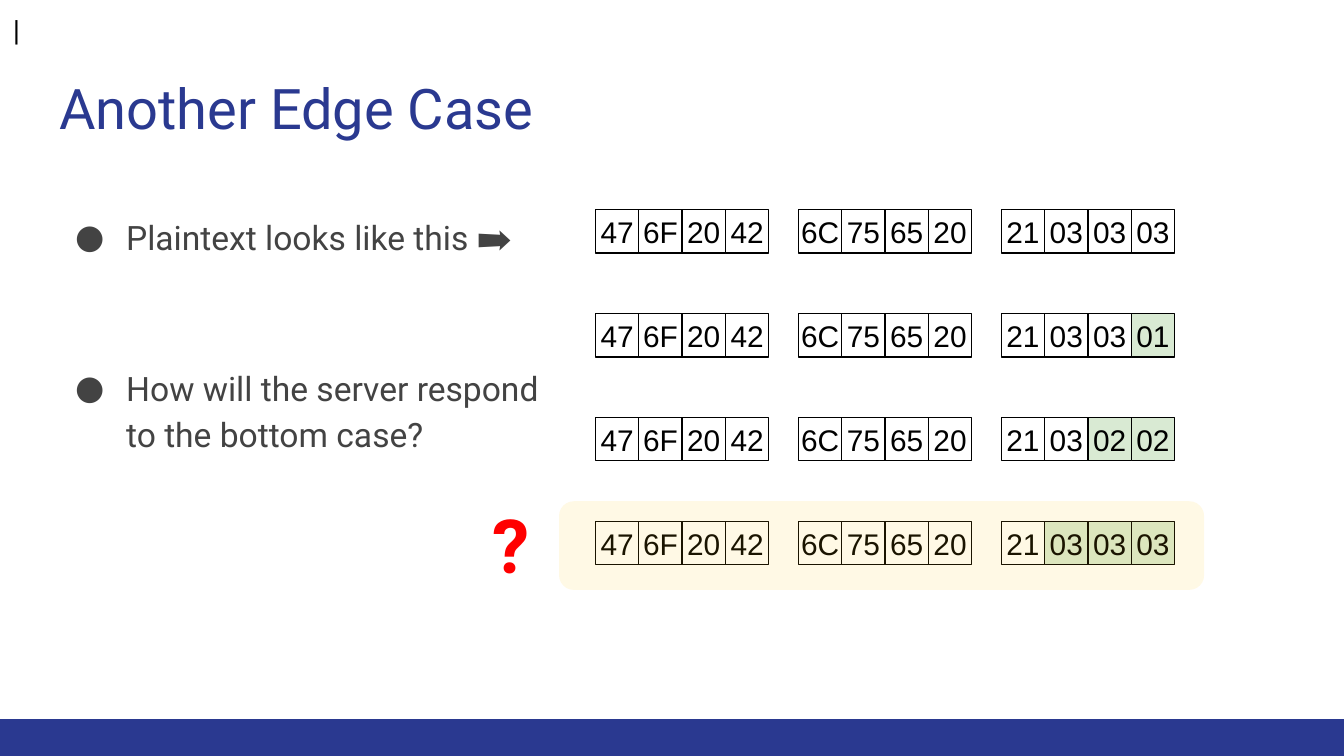
from dataclasses import dataclass

from lxml.etree import SubElement
from pptx import Presentation
from pptx.dml.color import RGBColor as Color
from pptx.enum.shapes import MSO_SHAPE as Shape
from pptx.enum.text import MSO_ANCHOR as Anchor, PP_ALIGN as Align
from pptx.oxml.ns import qn
from pptx.util import Inches, Pt


@dataclass(frozen=True)
class Theme:
    heading_font: str = "Roboto"
    byte_font: str = "Arial"
    blue: str = "2A3990"
    gray: str = "434343"
    black: str = "000000"
    red: str = "FF0000"
    green: str = "D9EAD3"
    amber: str = "FFC500"
    title_size: int = 30
    body_size: int = 18
    byte_size: int = 16
    mark_size: int = 40
    cursor_size: int = 14


THEME = Theme()
WIDTH = 10
HEIGHT = WIDTH * 9 / 16

# Byte grid: four messages, three blocks each, four bytes per block
GRID_LEFT, GRID_TOP, GRID_BOTTOM = 4.43, 1.56, 3.88
CELL = 1.29 / 4
BLOCK_PITCH = 1.51
FIRST_BLOCKS = ["47 6F 20 42", "6C 75 65 20"]
# Last block of each message, with the number of padding bytes to mark
LAST_BLOCKS = [("21 03 03 03", 0), ("21 03 03 01", 1),
               ("21 03 02 02", 2), ("21 03 03 03", 3)]
ROW_PITCH = (GRID_BOTTOM - GRID_TOP) / (len(LAST_BLOCKS) - 1)


def inches(*lengths):
    return [Inches(length) for length in lengths]


def write(shape, text, size, font=THEME.heading_font, color=THEME.black, bold=False,
          align=Align.LEFT, anchor=Anchor.TOP, inset=0.1, line_spacing=None, gap=0, bullet=None):
    """Write one paragraph per line of text, with the given gap between them."""
    frame = shape.text_frame
    frame.word_wrap = True
    frame.vertical_anchor = anchor
    frame.margin_left = frame.margin_top = frame.margin_right = frame.margin_bottom = Inches(inset)
    frame.text = text
    for index, paragraph in enumerate(frame.paragraphs):
        paragraph.alignment = align
        paragraph.line_spacing = line_spacing
        paragraph.space_before = Pt(gap if index else 0)
        for run in paragraph.runs:
            run.font.name, run.font.size, run.font.bold = font, Pt(size), bold
            run.font.color.rgb = Color.from_string(color)
        if bullet:
            add_bullet(paragraph, bullet, font, color)


def add_bullet(paragraph, character, font, color):
    properties = paragraph._p.get_or_add_pPr()
    properties.set("marL", str(Inches(0.5)))
    properties.set("indent", str(Inches(-0.38)))
    bullet_color = SubElement(properties, qn("a:buClr"))
    SubElement(bullet_color, qn("a:srgbClr"), val=color)
    SubElement(properties, qn("a:buFont"), typeface=font)
    SubElement(properties, qn("a:buChar"), char=character)


def add_box(shapes, kind, position, fill=None, line=None, opacity=None):
    box = shapes.add_shape(kind, *inches(*position))
    box.shadow.inherit = False
    if fill:
        box.fill.solid()
        box.fill.fore_color.rgb = Color.from_string(fill)
        if opacity:
            color = box._element.spPr.find(qn("a:solidFill"))[0]
            SubElement(color, qn("a:alpha"), val=str(opacity * 1000))
    else:
        box.fill.background()
    if line:
        box.line.color.rgb = Color.from_string(line)
        box.line.width = Pt(0.75)
    else:
        box.line.fill.background()
    return box


def add_text(slide, position, text, size, **formatting):
    write(slide.shapes.add_textbox(*inches(*position)), text, size, **formatting)


def add_title(slide, text):
    title = slide.shapes.title
    title.left, title.top, title.width, title.height = inches(0.34, 0.45, 9.32, 0.66)
    write(title, text, THEME.title_size, color=THEME.blue)


def add_block(slide, row, column, values, padding=0):
    """Draw one block of bytes as a group, marking the padding at its end."""
    group = slide.shapes.add_group_shape()
    values = values.split()
    left = GRID_LEFT + column * BLOCK_PITCH
    top = GRID_TOP + row * ROW_PITCH
    for index, value in enumerate(values):
        is_padding = index >= len(values) - padding
        cell = add_box(group.shapes, Shape.RECTANGLE, (left + index * CELL, top, CELL, CELL),
                       fill=THEME.green if is_padding else None, line=THEME.black)
        write(cell, value, THEME.byte_size, font=THEME.byte_font,
              align=Align.CENTER, anchor=Anchor.MIDDLE, inset=0)


def main():
    presentation = Presentation()
    presentation.slide_width, presentation.slide_height = inches(WIDTH, HEIGHT)
    slide = presentation.slides.add_slide(presentation.slide_layouts[5])

    # Footer band and title
    add_box(slide.shapes, Shape.RECTANGLE, (0, 5.35, WIDTH, HEIGHT - 5.35), fill=THEME.blue)
    add_title(slide, "Another Edge Case")

    # Bullets
    add_text(slide, (0.34, 1.47, 4.02, 1.9),
             "Plaintext looks like this ➡️\nHow will the server respond to the bottom case?",
             THEME.body_size, color=THEME.gray, line_spacing=1.15, gap=56, bullet="●")

    # Messages
    for row, (last_block, padding) in enumerate(LAST_BLOCKS):
        for column, block in enumerate(FIRST_BLOCKS):
            add_block(slide, row, column, block)
        add_block(slide, row, len(FIRST_BLOCKS), last_block, padding)

    # Highlight on the bottom case, with its question mark
    add_box(slide.shapes, Shape.ROUNDED_RECTANGLE, (4.16, 3.73, 4.8, 0.66),
            fill=THEME.amber, opacity=10)
    add_text(slide, (3.46, 3.61, 0.69, 0.85), "?", THEME.mark_size,
             color=THEME.red, bold=True, align=Align.CENTER)

    # Corner mark
    add_text(slide, (0, 0, 3.28, 0.44), "|", THEME.cursor_size, font=THEME.byte_font)

    presentation.save("out.pptx")


if __name__ == "__main__":
    main()
